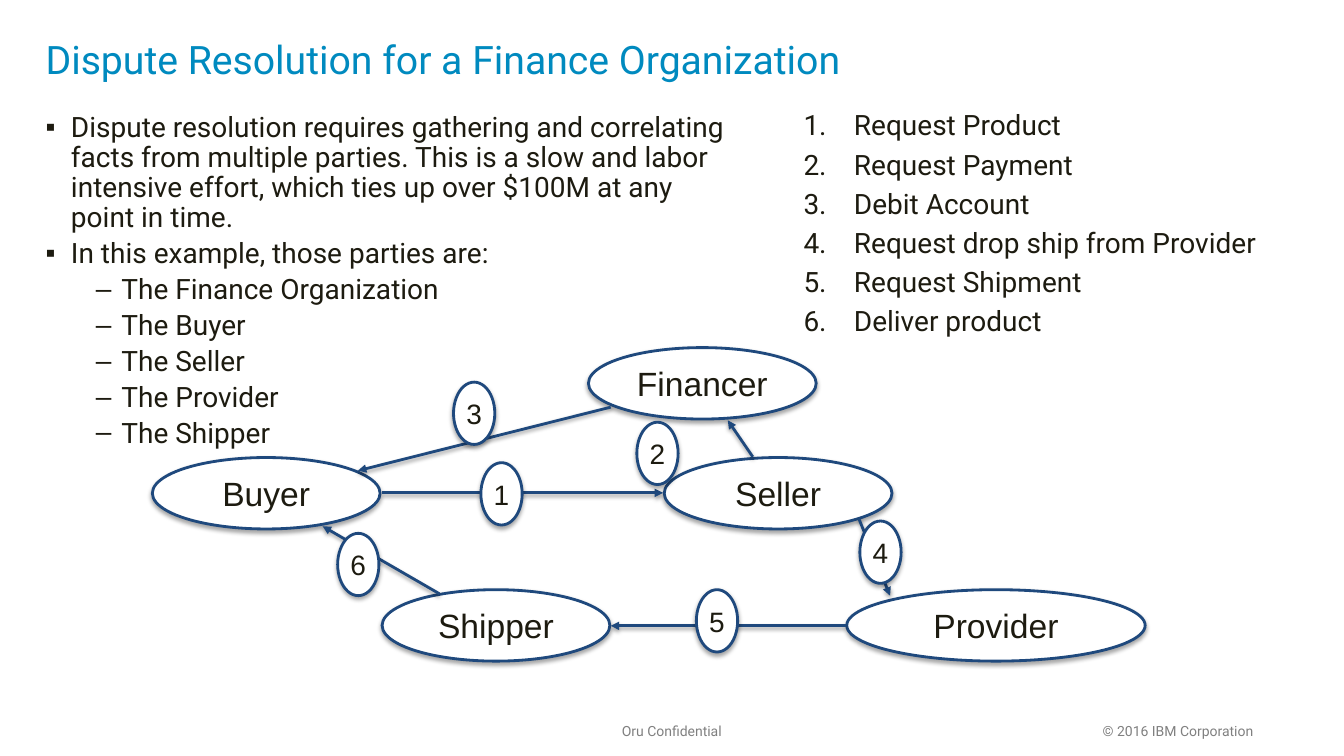
from dataclasses import dataclass

from lxml.etree import SubElement as Sub
from pptx import Presentation
from pptx.dml.color import RGBColor as Rgb
from pptx.enum.shapes import MSO_CONNECTOR as Conn, MSO_SHAPE as Shape
from pptx.enum.text import MSO_ANCHOR as Anchor, PP_ALIGN as Align
from pptx.oxml.ns import qn
from pptx.util import Cm, Pt


@dataclass(frozen=True)
class Theme:
    title: Rgb = Rgb.from_string("008ABF")
    ink: Rgb = Rgb.from_string("1D1B10")
    edge: Rgb = Rgb.from_string("1F497D")
    fill: Rgb = Rgb.from_string("FFFFFF")
    note: Rgb = Rgb.from_string("808080")
    sans: str = "Roboto"
    label: str = "Arial"
    head: int = 28
    node: int = 24
    body: int = 20
    foot: int = 10
    line: int = 2


THEME = Theme()

# Wording: (level, text) for the points
POINTS = [
    (0, "Dispute resolution requires gathering and correlating facts from "
        "multiple parties. This is a slow and labor intensive effort, which "
        "ties up over $100M at any point in time."),
    (0, "In this example, those parties are:"),
    (1, "The Finance Organization"),
    (1, "The Buyer"),
    (1, "The Seller"),
    (1, "The Provider"),
    (1, "The Shipper"),
]
STEPS = ["Request Product", "Request Payment", "Debit Account",
         "Request drop ship from Provider", "Request Shipment",
         "Deliver product"]

# Diagram, in centimetres: left, top, width of each party
PARTIES = {
    "Buyer": (3.84, 11.53, 5.74),
    "Seller": (16.74, 11.53, 5.74),
    "Financer": (14.83, 8.76, 5.74),
    "Provider": (21.34, 14.86, 7.52),
    "Shipper": (9.63, 14.86, 5.74),
}
# For each step: arrow start, arrow end, left and top of its badge
FLOWS = [
    ((9.63, 12.42), (16.71, 12.42), (12.12, 11.66)),
    ((18.97, 11.51), (18.34, 10.59), (16.05, 10.64)),
    ((15.39, 10.26), (9.02, 11.86), (11.43, 9.63)),
    ((21.64, 13.06), (22.43, 15.01), (21.67, 13.13)),
    ((21.31, 15.77), (15.39, 15.77), (17.55, 14.86)),
    ((11.07, 14.96), (8.13, 13.26), (8.51, 13.44)),
]
NODE_H = 1.8
BADGE = (1.04, 1.57)


def style(para, size, color, face=THEME.sans):
    para.font.size = Pt(size)
    para.font.name = face
    para.font.color.rgb = color


def pad(frame, inset):
    frame.margin_left = frame.margin_right = Cm(inset)
    frame.margin_top = frame.margin_bottom = Cm(inset)


def add_box(slide, area, inset=0.13):
    frame = slide.shapes.add_textbox(*map(Cm, area)).text_frame
    frame.word_wrap = True
    pad(frame, inset)
    return frame


def add_text(slide, area, text, size, color, inset=0.13, align=Align.LEFT):
    para = add_box(slide, area, inset).paragraphs[0]
    para.text = text
    para.alignment = align
    style(para, size, color)


def add_list(slide, area, items, mark, space=None):
    """Fill a box; mark(props, level) sets the bullet and returns its indent."""
    frame = add_box(slide, area)
    for i, (level, text) in enumerate(items):
        para = frame.add_paragraph() if i else frame.paragraphs[0]
        para.text = text
        para.level = level
        para.line_spacing = space
        para.space_before = Pt(4 if i else 0)
        props = para._p.get_or_add_pPr()
        left, hang = mark(props, level)
        props.set("marL", str(Cm(left)))
        props.set("indent", str(-Cm(hang)))
        style(para, THEME.body, THEME.ink)


def dot(props, level):
    Sub(props, qn("a:buFont"), typeface=THEME.label)
    Sub(props, qn("a:buChar"), char="▪–"[level])
    return 0.64 + 1.27 * level, 0.64


def count(props, level):
    Sub(props, qn("a:buFont"), typeface=THEME.sans)
    Sub(props, qn("a:buAutoNum"), type="arabicPeriod")
    return 1.27, 1.27


def add_shade(props, drop, alpha):
    effects = Sub(props, qn("a:effectLst"))
    outer = Sub(effects, qn("a:outerShdw"), blurRad=str(Pt(3)),
                dist=str(Pt(drop)), dir="5400000", rotWithShape="0")
    color = Sub(outer, qn("a:srgbClr"), val="000000")
    Sub(color, qn("a:alpha"), val=str(alpha * 1000))


def add_oval(slide, area, text, size):
    oval = slide.shapes.add_shape(Shape.OVAL, *map(Cm, area))
    oval.fill.solid()
    oval.fill.fore_color.rgb = THEME.fill
    oval.line.color.rgb = THEME.edge
    oval.line.width = Pt(THEME.line)
    add_shade(oval._element.spPr, 1.8, 35)
    frame = oval.text_frame
    frame.word_wrap = False
    frame.vertical_anchor = Anchor.MIDDLE
    pad(frame, 0.13)
    para = frame.paragraphs[0]
    para.text = text
    para.alignment = Align.CENTER
    style(para, size, THEME.ink, THEME.label)


def add_arrow(slide, start, end):
    arrow = slide.shapes.add_connector(Conn.STRAIGHT, *map(Cm, start + end))
    arrow.line.color.rgb = THEME.edge
    arrow.line.width = Pt(THEME.line)
    Sub(arrow.line._get_or_add_ln(), qn("a:tailEnd"), type="triangle")
    add_shade(arrow._element.spPr, 1.6, 38)


def main():
    deck = Presentation()
    deck.slide_width, deck.slide_height = Cm(33.87), Cm(19.05)
    slide = deck.slides.add_slide(deck.slide_layouts[6])

    # Footer
    add_text(slide, (15.04, 18.21, 3.78, 0.43), "Oru Confidential",
             THEME.foot, THEME.note, 0, Align.CENTER)
    add_text(slide, (27.79, 18.21, 4.19, 0.43), "© 2016 IBM Corporation",
             THEME.foot, THEME.note, 0)

    # Title and lists
    add_text(slide, (1.02, 0.76, 31.8, 1.85),
             "Dispute Resolution for a Finance Organization",
             THEME.head, THEME.title)
    add_list(slide, (1.02, 2.72, 17.58, 8.99), POINTS, dot, 0.9)
    add_list(slide, (20.12, 2.59, 13.21, 6.5),
             [(0, step) for step in STEPS], count)

    # Parties, then arrows, then step badges on top
    for name, (left, top, width) in PARTIES.items():
        add_oval(slide, (left, top, width, NODE_H), name, THEME.node)
    for start, end, _ in FLOWS:
        add_arrow(slide, start, end)
    for i, (_, _, spot) in enumerate(FLOWS, 1):
        add_oval(slide, spot + BADGE, str(i), THEME.body)

    deck.save("out.pptx")


if __name__ == "__main__":
    main()
